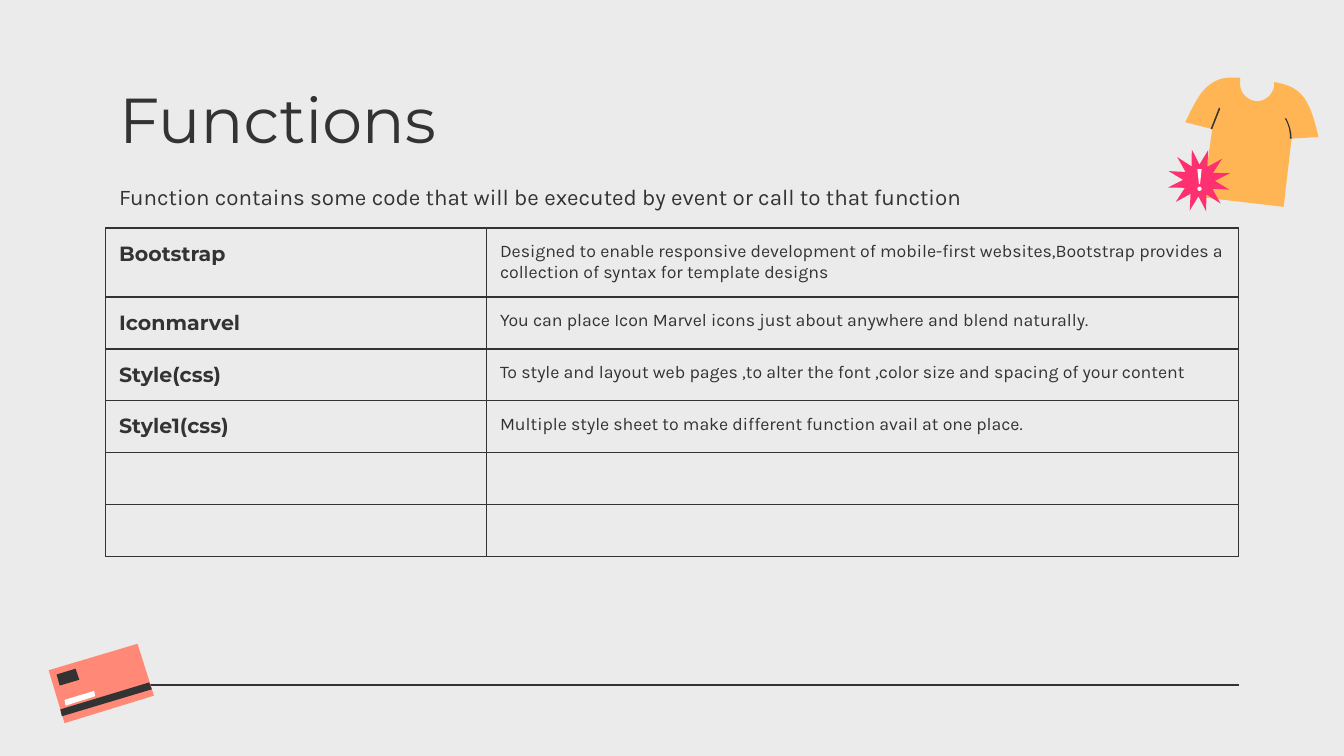
from math import cos, radians, sin

from lxml.etree import SubElement as Sub
from pptx import Presentation
from pptx.dml.color import RGBColor
from pptx.enum.shapes import MSO_CONNECTOR as Link, MSO_SHAPE as Form
from pptx.enum.text import MSO_ANCHOR as Anchor
from pptx.oxml.ns import qn
from pptx.util import Cm, Pt

DARK, WHITE = "333333", "FFFFFF"
HEAD, BODY = "Montserrat", "Karla"
ROWS = [
    ("Bootstrap", "Designed to enable responsive development of mobile-first websites,"
     "Bootstrap provides a collection of syntax for template designs"),
    ("Iconmarvel", "You can place Icon Marvel icons just about anywhere and blend naturally."),
    ("Style(css)", "To style and layout web pages ,to alter the font ,"
     "color size and spacing of your content"),
    ("Style1(css)", "Multiple style sheet to make different function avail at one place."),
    ("", ""),
    ("", ""),
]
SHIRT = [
    (23.44, 1.47), (23.16, 1.45, 22.94, 1.47, 22.71, 1.75),
    (22.58, 1.93, 22.5, 2.11, 22.4, 2.31), (22.91, 2.44), (22.73, 3.73),
    (24.26, 3.91), (24.41, 2.62), (24.92, 2.59),
    (24.87, 2.39, 24.82, 2.18, 24.74, 2.01),
    (24.59, 1.68, 24.36, 1.6, 24.08, 1.55), (24.08, 1.63),
    (24.05, 1.8, 23.9, 1.93, 23.72, 1.91),
    (23.55, 1.88, 23.42, 1.73, 23.44, 1.55),
]
SEAMS = [
    [(23.04, 2.03), (22.88, 2.44), (22.91, 2.44), (23.06, 2.06)],
    [(24.31, 2.24), (24.28, 2.24), (24.36, 2.36, 24.38, 2.49, 24.38, 2.62),
     (24.41, 2.62), (24.41, 2.46, 24.36, 2.34, 24.31, 2.24)],
]
MARK = [(22.63, 3.2), (22.66, 3.48), (22.68, 3.48), (22.71, 3.2)]
CARD = [
    ("FF8876", [(2.6, 12.17), (0.92, 12.67), (1.22, 13.67), (2.91, 13.15)]),
    (DARK, [(2.82, 12.9), (1.14, 13.41), (1.17, 13.54), (2.87, 13.03)]),
    (DARK, [(1.43, 12.64), (1.07, 12.75), (1.13, 12.96), (1.5, 12.85)]),
    (WHITE, [(1.78, 13.06), (1.22, 13.23), (1.24, 13.34), (1.8, 13.16)]),
]


def color(code):
    """Turn a hex string into a colour."""
    return RGBColor.from_string(code)


def write(frame, text, size=12, font=BODY, bold=False, tint=DARK):
    """Put one formatted paragraph into a text frame."""
    frame.word_wrap = True
    para = frame.paragraphs[0]
    if not text:
        Sub(para._p, qn("a:endParaRPr"), sz=str(int(size * 100)))
        return
    run = para.add_run()
    run.text = text
    run.font.size, run.font.name, run.font.bold = Pt(size), font, bold
    run.font.color.rgb = color(tint)


def pad(item):
    """Give a cell or frame equal margins."""
    item.margin_left = item.margin_right = Cm(0.25)
    item.margin_top = item.margin_bottom = Cm(0.25)


def label(slide, box, text, anchor=Anchor.TOP, **form):
    """Add a text box."""
    frame = slide.shapes.add_textbox(*map(Cm, box)).text_frame
    pad(frame)
    frame.vertical_anchor = anchor
    write(frame, text, **form)


def paint(shape, fill):
    """Fill a shape and drop its line and shadow."""
    shape.fill.solid()
    shape.fill.fore_color.rgb = color(fill)
    shape.line.fill.background()
    shape.shadow.inherit = False


def bend(start, curve, steps=10):
    """Sample a cubic curve from the start point."""
    pts = [start, curve[:2], curve[2:4], curve[4:]]
    for i in range(1, steps + 1):
        t = i / steps
        u = 1 - t
        part = (u ** 3, 3 * u * u * t, 3 * u * t * t, t ** 3)
        yield tuple(sum(w * p[k] for w, p in zip(part, pts)) for k in (0, 1))


def draw(slide, fill, nodes):
    """Add a closed outline of line points and curve tuples."""
    pts = [nodes[0]]
    for node in nodes[1:]:
        pts.extend([node] if len(node) == 2 else bend(pts[-1], node))
    pts = [(Cm(x), Cm(y)) for x, y in pts]
    pen = slide.shapes.build_freeform(*pts[0])
    pen.add_line_segments(pts[1:], close=True)
    paint(pen.convert_to_shape(), fill)


def star(x, y, tips=12, start=-13):
    """Work out the points of a burst."""
    for i in range(2 * tips):
        turn = radians(start + i * 180 / tips)
        size = 0.3 if i % 2 else 0.6
        yield x + size * sin(turn), y - size * cos(turn)


def edge(cell):
    """Draw the four borders of a cell."""
    prop = cell._tc.get_or_add_tcPr()
    for i, side in enumerate(("lnL", "lnR", "lnT", "lnB")):
        line = Sub(prop, qn("a:" + side), w=str(Pt(0.75)))
        fill = Sub(line, qn("a:solidFill"))
        Sub(fill, qn("a:srgbClr"), val=DARK)
        prop.insert(i, line)


def grid(slide):
    """Add the table of functions."""
    table = slide.shapes.add_table(len(ROWS), 2, Cm(2), Cm(4.31), Cm(21.4), Cm(6.19)).table
    table.first_row = table.horz_banding = False
    for col, wide in zip(table.columns, (7.2, 14.2)):
        col.width = Cm(wide)
    forms = (dict(size=11, font=HEAD, bold=True), dict(size=9.5))
    for i, (row, texts) in enumerate(zip(table.rows, ROWS)):
        row.height = Cm(0.98 if i else 1.29)
        for cell, text, form in zip(row.cells, texts, forms):
            pad(cell)
            cell.fill.background()
            edge(cell)
            write(cell.text_frame, text, **form)


def rule(slide):
    """Add the line at the foot."""
    line = slide.shapes.add_connector(Link.STRAIGHT, Cm(23.42), Cm(12.95), Cm(2.03), Cm(12.95))
    line.line.width = Pt(0.75)
    line.line.color.rgb = color(DARK)
    Sub(line._element.spPr, qn("a:effectLst"))


def main():
    """Build and save the slide."""
    deck = Presentation()
    deck.slide_width, deck.slide_height = Cm(25.4), Cm(14.29)
    slide = deck.slides.add_slide(deck.slide_layouts[6])
    slide.background.fill.solid()
    slide.background.fill.fore_color.rgb = color("EBEBEB")
    rule(slide)
    label(slide, (2, 1.27, 21.4, 1.6), "Functions", size=34, font=HEAD)
    label(slide, (2, 3.2, 21.4, 1.04), "Function contains some code that will be "
          "executed by event or call to that function", anchor=Anchor.MIDDLE)
    grid(slide)
    draw(slide, "FFB554", SHIRT)
    for seam in SEAMS:
        draw(slide, DARK, seam)
    draw(slide, "FF3070", list(star(22.66, 3.41)))
    draw(slide, WHITE, MARK)
    paint(slide.shapes.add_shape(Form.OVAL, Cm(22.63), Cm(3.53), Cm(0.08), Cm(0.08)), WHITE)
    for fill, nodes in CARD:
        draw(slide, fill, nodes)
    deck.save("out.pptx")


if __name__ == "__main__":
    main()
